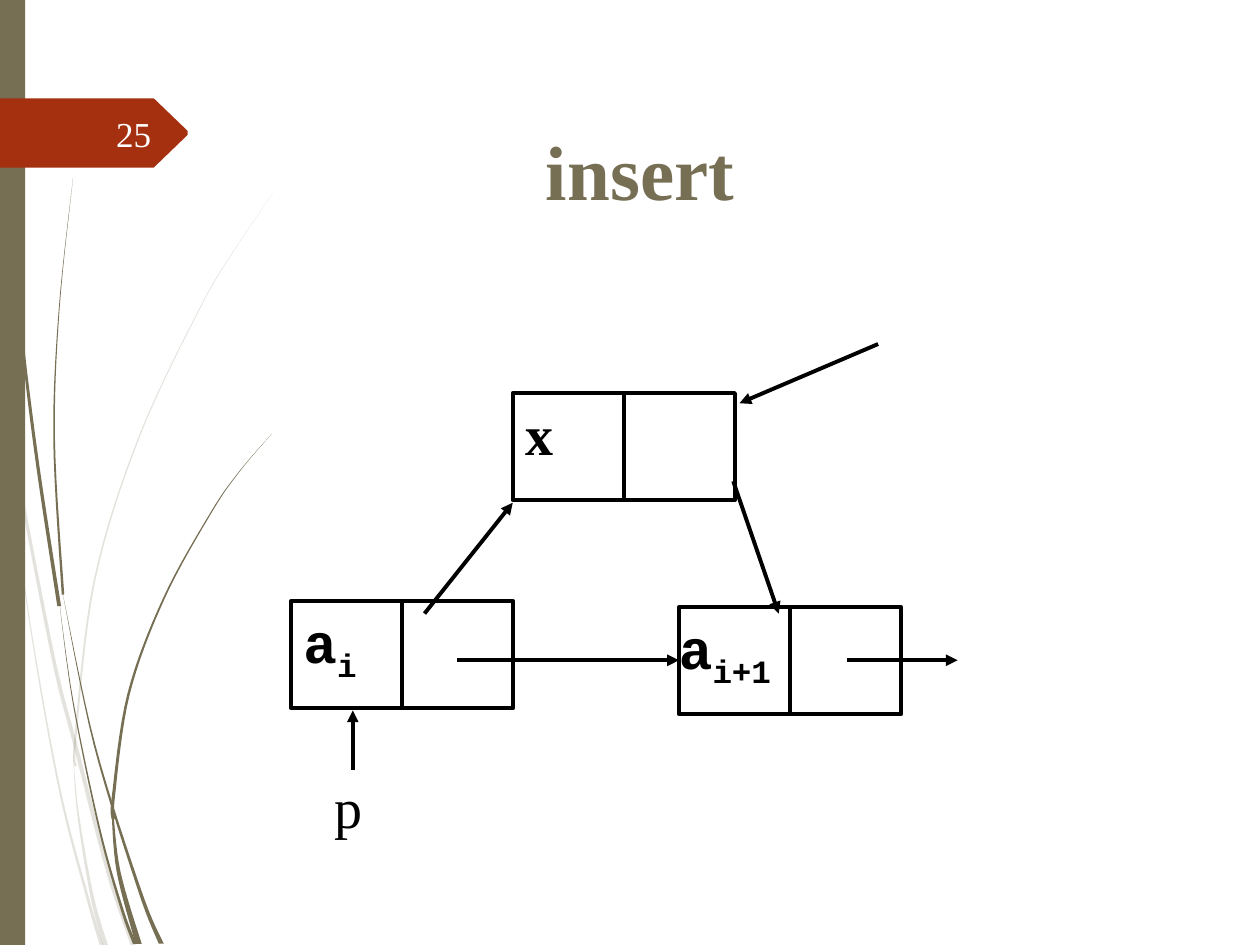
import pptx
import pptx.util
import pptx.dml.color
import pptx.enum.shapes
import pptx.enum.text
import pptx.oxml.ns
from lxml import etree

Pt = pptx.util.Pt
RGBColor = pptx.dml.color.RGBColor
ALIGN = pptx.enum.text.PP_ALIGN
ANCHOR = pptx.enum.text.MSO_ANCHOR
SHAPE = pptx.enum.shapes.MSO_SHAPE
STRAIGHT = pptx.enum.shapes.MSO_CONNECTOR.STRAIGHT
qn = pptx.oxml.ns.qn

OLIVE = RGBColor(0x76, 0x6F, 0x54)
RUST = RGBColor(0xA5, 0x30, 0x10)
BLACK = RGBColor(0, 0, 0)
PAGE_WHITE = RGBColor(0xFE, 0xFF, 0xFF)
SERIF, MONO = "Times New Roman", "Courier New"

# Outlines use a grid of 0.72 pt. A strand is its start width, end width and centre line.
GRID = 0.72
PALE_STRANDS = [
    (2, 4, [(0, 290), (11, 360), (42, 521), (60, 592), (86, 692), (106, 751)]),
    (0, 3, [(8, 350), (20, 469), (46, 620), (70, 714), (81, 751)]),
    (0, 4, [(58, 599), (62, 646), (73, 711), (84, 751)]),
    (0, 2, [(217, 153), (187, 197), (159, 244), (110, 348), (75, 461), (60, 584), (60, 608)]),
]
DARK_STRANDS = [
    (1, 3, [(3, 0), (6, 110), (14, 233), (28, 355), (47, 481)]),
    (0, 4, [(50, 472), (75, 591), (111, 707), (128, 749)]),
    (0, 3, [(47, 477), (58, 557), (79, 658), (97, 722), (107, 749)]),
    (0, 2, [(58, 141), (47, 245), (43, 349), (50, 472)]),
    (0, 3, [(216, 344), (191, 373), (168, 406), (130, 475), (102, 551), (90, 632), (90, 650)]),
    (1, 5, [(89, 640), (94, 691), (110, 749)]),
]
PAGE_TAG = [(0, 78), (122, 78), (149, 104), (149, 107), (122, 133), (0, 133)]

CELL_W, CELL_H, LINE_W = 63.5, 61.2, 2.25
INSET = (7.2, 3.6, 7.2, 3.6)
NODES = [  # left, top, text, subscript, font, insets
    (388, 347, "a", "i+1", MONO, (0, 3.6, 0, 3.6)),
    (166.3, 343.5, "a", "i", MONO, INSET),
    (293, 224.6, "x", "", SERIF, INSET),
]
ARROWS = [
    (261.4, 377.3, 388, 377.3),
    (483.8, 377.3, 547.2, 377.3),
    (419, 275, 445, 350.6),
    (242.6, 350.6, 293, 287.3),
    (201.6, 440, 201.6, 406),
    (501.8, 196.6, 422.6, 230.4),
]
LABELS = [  # box, text, insets, anchor, alignment, font
    ((40.3, 61.9, 46.1, 28.8), "25", (0, 0, 0, 0), ANCHOR.MIDDLE, ALIGN.RIGHT,
     dict(size=Pt(20), name=SERIF, color=PAGE_WHITE)),
    ((59.8, 60.5, 612, 73.4), "insert", INSET, ANCHOR.MIDDLE, ALIGN.CENTER,
     dict(size=Pt(44), name=SERIF, bold=True, color=OLIVE)),
    ((184.3, 434.2, 51.1, 46.1), "p", (7.2, 7, 7.2, 2), ANCHOR.TOP, ALIGN.LEFT,
     dict(size=Pt(32), name=SERIF, color=BLACK)),
]


def smooth_line(knots, steps=8):
    """Sample a Catmull-Rom curve through the knots."""
    padded = [knots[0], *knots, knots[-1]]
    out = [knots[0]]
    for a, b, c, d in zip(padded, padded[1:], padded[2:], padded[3:]):
        for t in (k / steps for k in range(1, steps + 1)):
            out.append(tuple(
                q + t / 2 * (r - p + t * (2 * p - 5 * q + 4 * r - v + t * (3 * q - p - 3 * r + v)))
                for p, q, r, v in zip(a, b, c, d)))
    return out


def strand_outline(start_w, end_w, knots):
    """Spread a centre line sideways, its width changing evenly along it."""
    line = smooth_line(knots)
    halves = [(start_w + (end_w - start_w) * i / (len(line) - 1)) / 2 for i in range(len(line))]
    left = [(x - h, y) for (x, y), h in zip(line, halves)]
    right = [(x + h, y) for (x, y), h in zip(line, halves)]
    return left + right[::-1]


def paint(sp, color, alpha=None):
    sp.shadow.inherit = False
    sp.fill.solid()
    sp.fill.fore_color.rgb = color
    sp.line.fill.background()
    if alpha:
        clr = sp._element.spPr.find(qn("a:solidFill"))[0]
        etree.SubElement(clr, qn("a:alpha")).set("val", str(alpha * 1000))


def add_outline(shapes, pts, color, alpha=None):
    # Coordinates are scaled up so that sampled points keep their fractions.
    fine = [(x * 100, y * 100) for x, y in pts]
    fb = shapes.build_freeform(*fine[0], scale=Pt(GRID) / 100)
    fb.add_line_segments(fine[1:], close=True)
    paint(fb.convert_to_shape(), color, alpha)


def set_text(sp, runs, insets, anchor, align, font):
    """Write (text, baseline percent) runs into a shape."""
    tf = sp.text_frame
    tf.word_wrap, tf.vertical_anchor = True, anchor
    for side, value in zip(("left", "top", "right", "bottom"), insets):
        setattr(tf, "margin_" + side, Pt(value))
    p = tf.paragraphs[0]
    p.alignment = align
    for text, baseline in runs:
        r = p.add_run()
        r.text = text
        for key, value in font.items():
            if key == "color":
                r.font.color.rgb = value
            else:
                setattr(r.font, key, value)
        if baseline:
            r._r.get_or_add_rPr().set("baseline", str(baseline * 1000))


def add_node(shapes, left, top, text, sub, name, insets):
    """Draw a list node: a value cell and a link cell."""
    cells = []
    for col in range(2):
        sp = shapes.add_shape(SHAPE.RECTANGLE, Pt(left + col * CELL_W), Pt(top), Pt(CELL_W), Pt(CELL_H))
        sp.shadow.inherit = False
        sp.fill.background()
        sp.line.color.rgb, sp.line.width = BLACK, Pt(LINE_W)
        cells.append(sp)
    runs = [(text, 0)] + ([(sub, -25)] if sub else [])
    font = dict(size=Pt(32), name=name, bold=True, color=BLACK)
    set_text(cells[0], runs, insets, ANCHOR.TOP, ALIGN.JUSTIFY, font)


def add_arrow(shapes, ends):
    line = shapes.add_connector(STRAIGHT, *map(Pt, ends))
    line.line.color.rgb, line.line.width = BLACK, Pt(LINE_W)
    etree.SubElement(line.line._get_or_add_ln(), qn("a:tailEnd")).set("type", "triangle")
    etree.SubElement(line._element.spPr, qn("a:effectLst"))


prs = pptx.Presentation()
prs.slide_width, prs.slide_height = Pt(720), Pt(540)
s = prs.slides.add_slide(prs.slide_layouts[6])

for strands, alpha in ((PALE_STRANDS, 20), (DARK_STRANDS, None)):
    group = s.shapes.add_group_shape()
    for strand in strands:
        add_outline(group.shapes, strand_outline(*strand), OLIVE, alpha)
paint(s.shapes.add_shape(SHAPE.RECTANGLE, 0, 0, Pt(14.4), Pt(540)), OLIVE)
add_outline(s.shapes, PAGE_TAG, RUST)

for node in NODES:
    add_node(s.shapes, *node)
for arrow in ARROWS:
    add_arrow(s.shapes, arrow)
for box, text, *style in LABELS:
    set_text(s.shapes.add_textbox(*map(Pt, box)), [(text, 0)], *style)

prs.save("out.pptx")
